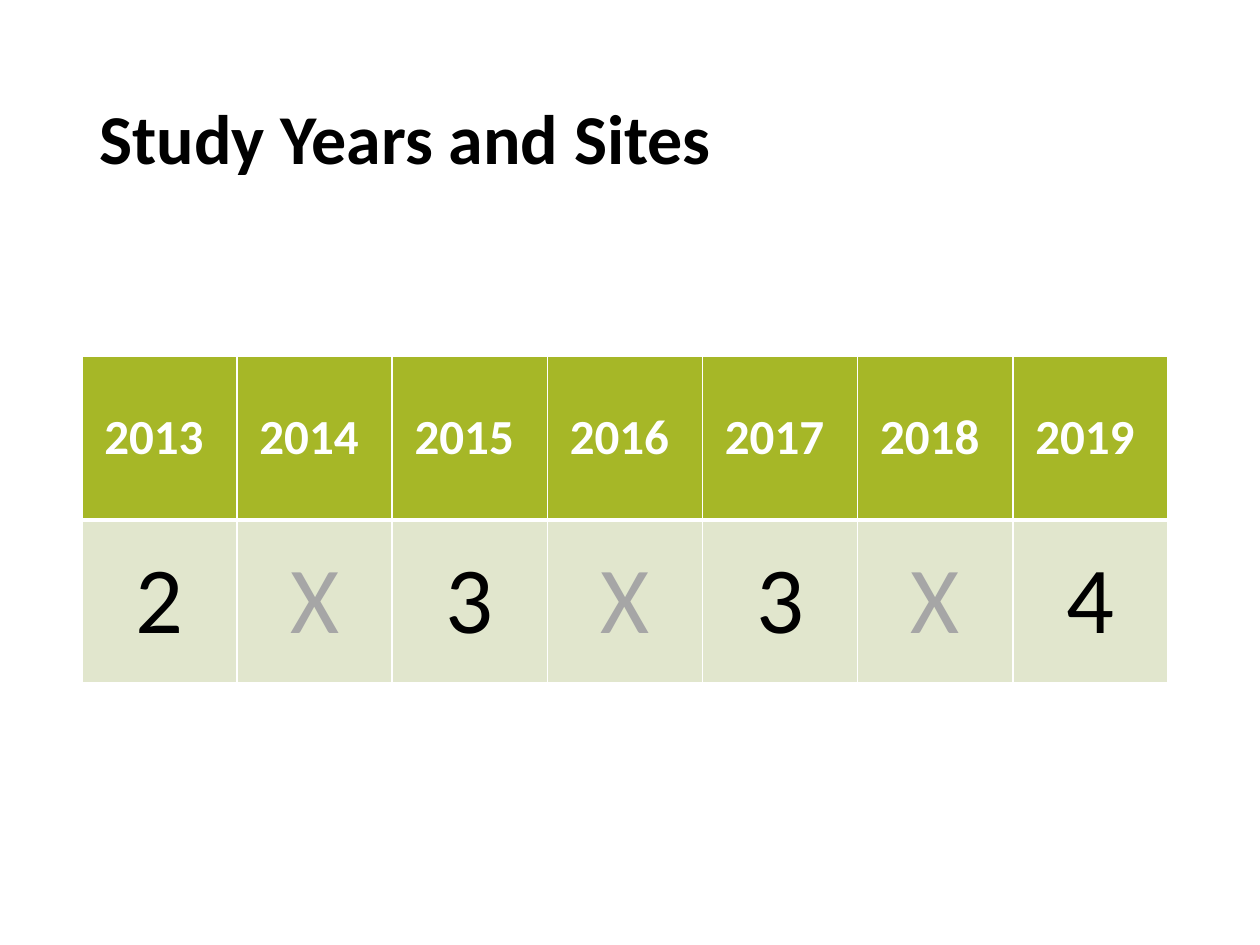
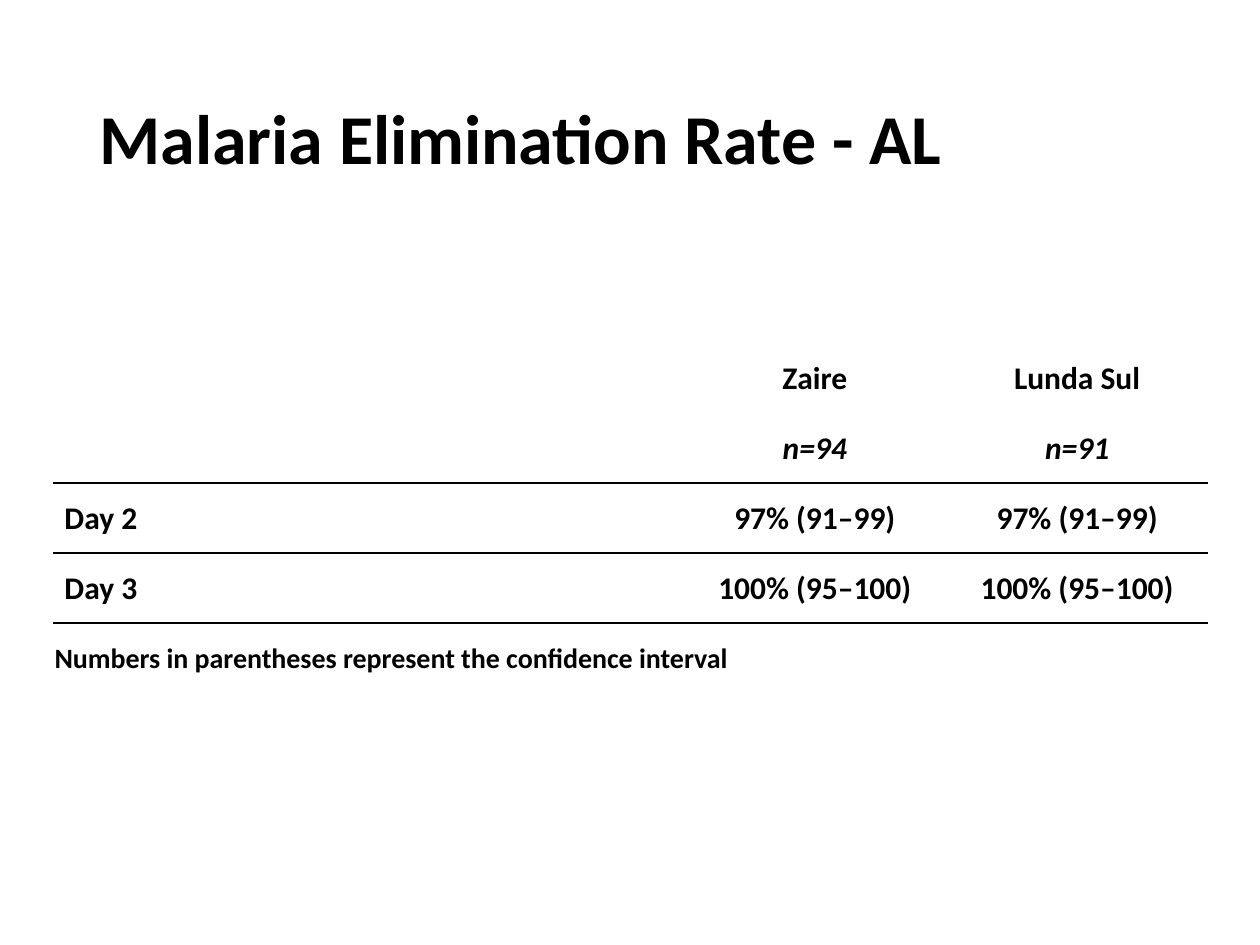
from pptx import Presentation
from pptx.dml.color import RGBColor
from pptx.enum.text import MSO_ANCHOR, PP_ALIGN
from pptx.oxml.ns import qn
from pptx.util import Cm, Pt
from lxml.etree import SubElement

FONT = "Calibri"
BLACK, WHITE, GREY = "000000", "FFFFFF", "A6A6A6"
GREEN, PALE = "A6B727", "E1E6CD"
PLAIN = "{2D5ABB26-0587-4C30-8999-92F81FD0307C}"
TITLE = (1.75, 1.02, 21.9, 3.68)
YEARS = (1.65, 7.19, 21.9, 6.58)
RATES = (1.07, 6.91, 23.29, 7.06)


def paint(target, color):
    """Give a fill or a font a solid hex colour."""
    if hasattr(target, "solid"):
        target.solid()
        target.fore_color.rgb = RGBColor.from_string(color)
    else:
        target.color.rgb = RGBColor.from_string(color)


def style(frame, size, color=BLACK, bold=True, italic=False, align=PP_ALIGN.LEFT):
    """Format every paragraph and run of a text frame."""
    for para in frame.paragraphs:
        para.alignment = align
        for run in para.runs:
            font = run.font
            font.name, font.size = FONT, Pt(size)
            font.bold, font.italic = bold, italic
            paint(font, color)


def edge(cell, sides, color, width):
    """Draw the named sides (L, R, T, B, in that order) of a cell."""
    props = cell._tc.get_or_add_tcPr()
    for side in sides:
        line = SubElement(props, qn(f"a:ln{side}"), w=str(Pt(width)))
        fill = SubElement(line, qn("a:solidFill"))
        SubElement(fill, qn("a:srgbClr"), val=color)


def add_slide(deck, text):
    """Add a slide with the shared title."""
    slide = deck.slides.add_slide(deck.slide_layouts[5])
    title = slide.shapes.title
    title.left, title.top, title.width, title.height = map(Cm, TITLE)
    frame = title.text_frame
    frame.text = text
    frame.vertical_anchor = MSO_ANCHOR.MIDDLE
    frame.paragraphs[0].line_spacing = 0.9
    style(frame, 40)
    return slide


def add_grid(slide, box, rows, parts):
    """Add an unstyled table with equal rows and columns shared by parts."""
    left, top, width, height = box
    frame = slide.shapes.add_table(len(rows), len(parts), *map(Cm, box))
    for mark in frame._element.iter(qn("a:tableStyleId")):
        mark.text = PLAIN
    table = frame.table
    table.first_row = table.horz_banding = False
    for col, part in zip(table.columns, parts):
        col.width = Cm(width * part / sum(parts))
    for row, texts in zip(table.rows, rows):
        row.height = Cm(height / len(rows))
        for cell, text in zip(row.cells, texts):
            cell.text_frame.text = text
            cell.vertical_anchor = MSO_ANCHOR.MIDDLE
    return table


def add_years(slide, box):
    """Place the table of study years above the number of sites."""
    years = [f"{year} " for year in range(2013, 2020)]
    sites = list("2X3X3X4")
    table = add_grid(slide, box, [years, sites], [1] * len(years))
    head, body = table.rows
    for cell in head.cells:
        edge(cell, "LRT", WHITE, 1)
        edge(cell, "B", WHITE, 3)
        paint(cell.fill, GREEN)
        style(cell.text_frame, 28, WHITE, align=PP_ALIGN.CENTER)
    for cell, site in zip(body.cells, sites):
        edge(cell, "LR", WHITE, 1)
        edge(cell, "T", WHITE, 3)
        edge(cell, "B", WHITE, 1)
        paint(cell.fill, PALE)
        color = GREY if site == "X" else BLACK
        style(cell.text_frame, 54, color, False, align=PP_ALIGN.CENTER)


def add_rates(slide, box):
    """Place the table of rates by day and province, with its note."""
    rows = [
        ("", "Zaire", "Lunda Sul"),
        ("", "n=94", "n=91"),
        ("Day 2", "97% (91–99)", "97% (91–99)"),
        ("Day 3", "100% (95–100)", "100% (95–100)"),
        ("Numbers in parentheses represent the confidence interval", "", ""),
    ]
    table = add_grid(slide, box, rows, [5, 2.08, 2.08])
    last = len(rows) - 1
    table.cell(last, 0).merge(table.cell(last, 2))
    for i, row in enumerate(table.rows):
        for j, cell in enumerate(row.cells):
            cell.margin_left = Cm(0.23 if j == 0 and i < last else 0.03)
            cell.margin_right = cell.margin_top = Cm(0.03)
            cell.margin_bottom = 0
            if i in (2, last):
                edge(cell, "T", BLACK, 1)
            if i in (1, last - 1):
                edge(cell, "B", BLACK, 1)
            align = PP_ALIGN.CENTER if j else PP_ALIGN.LEFT
            style(cell.text_frame, 16 if i == last else 18, italic=i == 1, align=align)


def main():
    """Build and save the deck."""
    deck = Presentation()
    deck.slide_width, deck.slide_height = Cm(25.4), Cm(19.05)
    add_years(add_slide(deck, "Study Years and Sites"), YEARS)
    add_rates(add_slide(deck, "Malaria Elimination Rate - AL"), RATES)
    deck.save("out.pptx")


if __name__ == "__main__":
    main()
